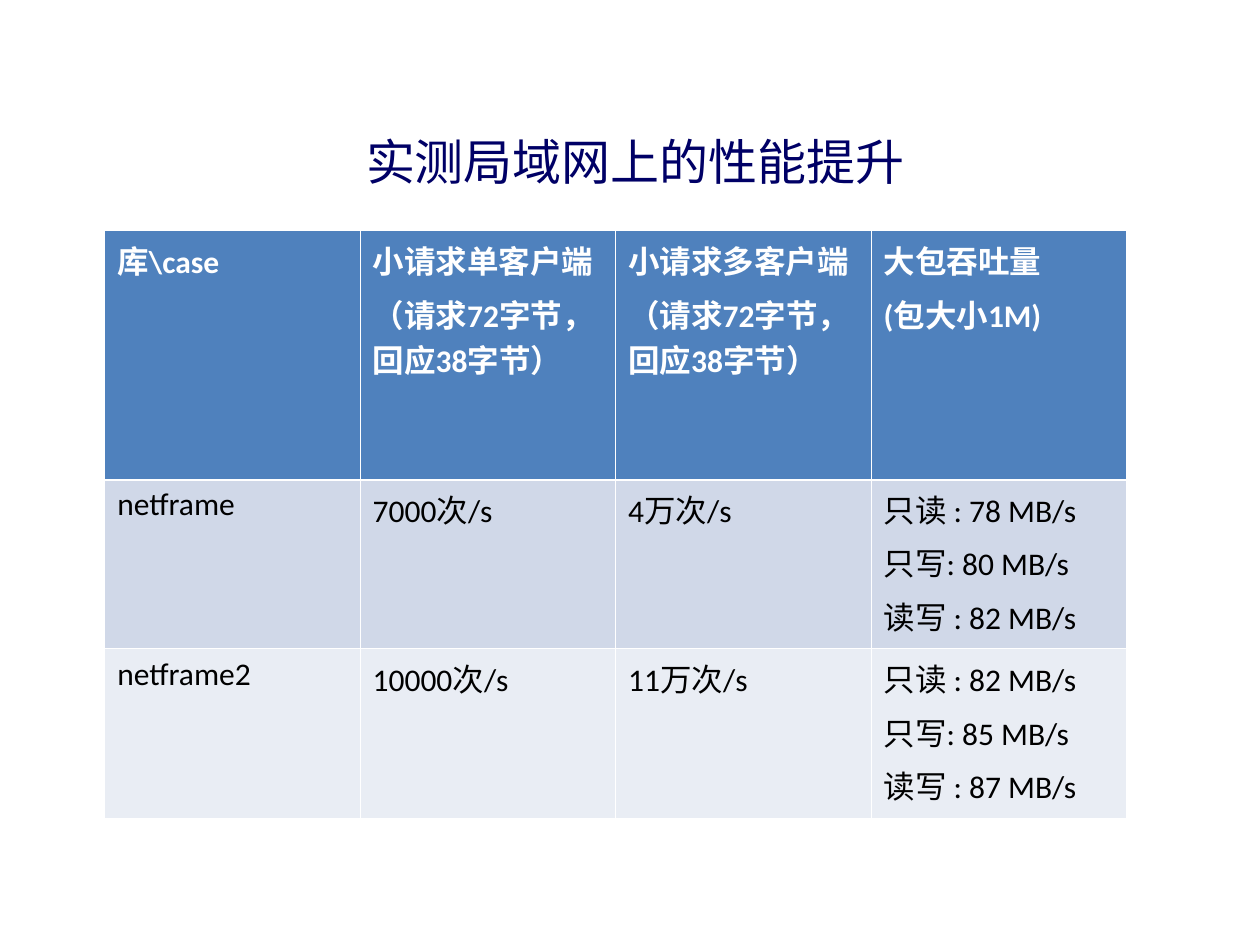
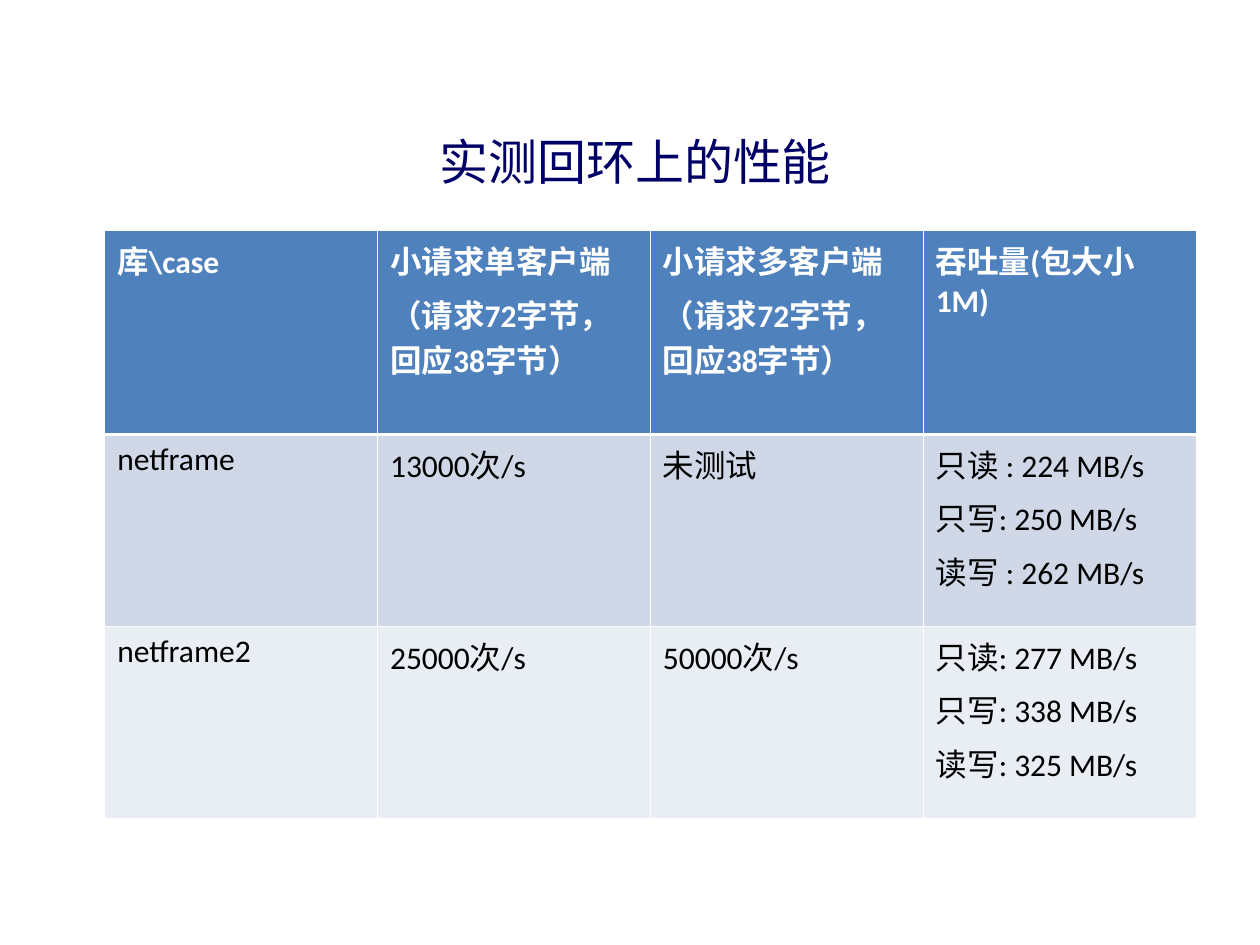
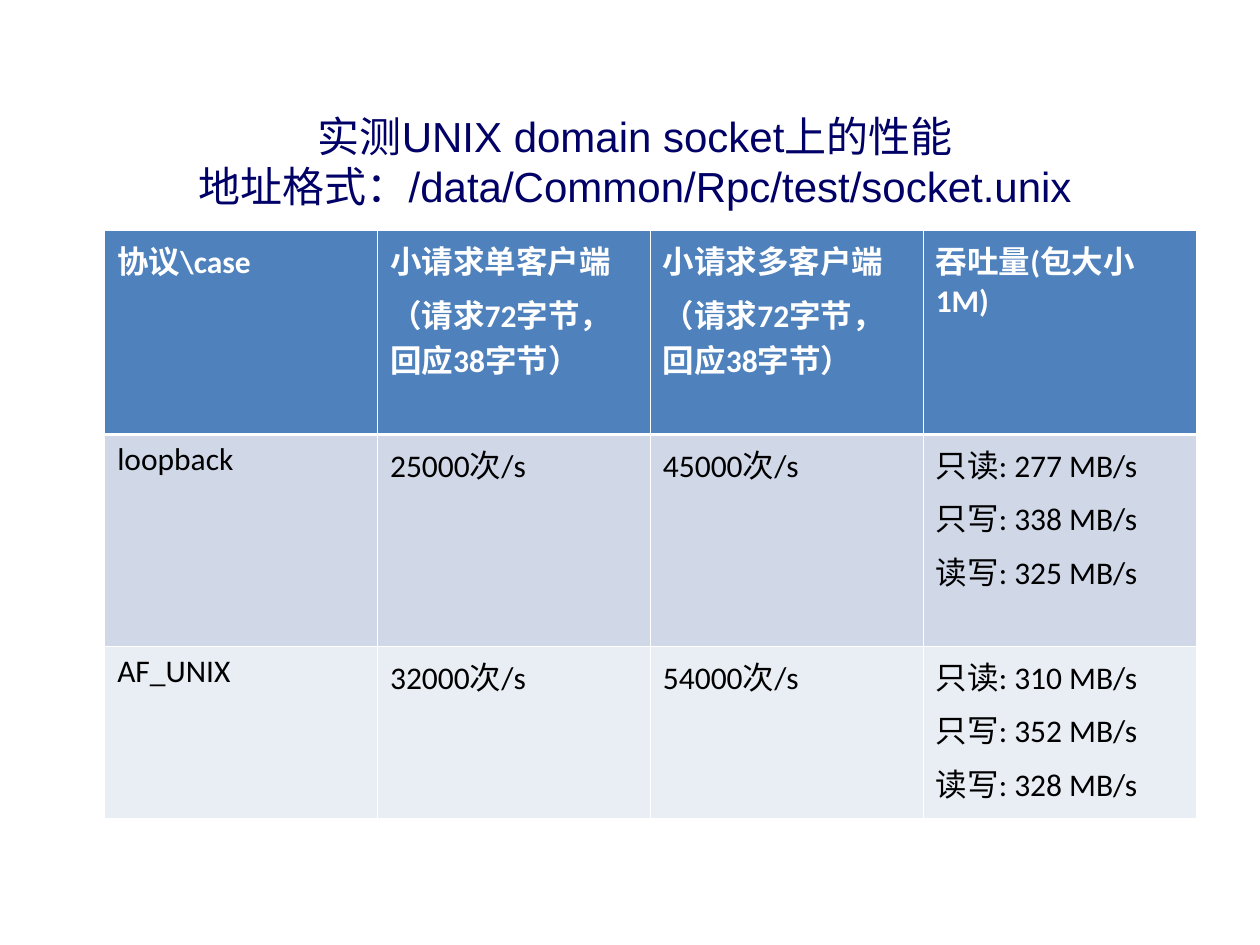
"""Build three slides of network performance tables."""
import pptx
import pptx.dml.color
import pptx.enum.text
import pptx.oxml.ns
import pptx.util
from lxml import etree

Cm = pptx.util.Cm
Pt = pptx.util.Pt
RGBColor = pptx.dml.color.RGBColor

NAVY = RGBColor(0x00, 0x00, 0x66)
WHITE = RGBColor(0xFF, 0xFF, 0xFF)
BLACK = RGBColor(0x00, 0x00, 0x00)
HEADER_BLUE = RGBColor(0x4F, 0x81, 0xBD)
ROW_FILLS = [HEADER_BLUE, RGBColor(0xD0, 0xD8, 0xE8), RGBColor(0xE9, 0xED, 0xF4)]

LEFT = Cm(2.11)
THIN, THICK = Pt(0.45), Pt(1.47)

REQUEST_SIZE = "（请求72字节，回应38字节）"
SINGLE_CLIENT = f"小请求单客户端\n{REQUEST_SIZE}"
MULTI_CLIENT = f"小请求多客户端\n{REQUEST_SIZE}"
THROUGHPUT = "吞吐量(包大小1M)"
LOOPBACK_RATES = "只读: 277 MB/s\n只写: 338 MB/s\n读写: 325 MB/s"

SLIDES = [
    {
        "title": "实测局域网上的性能提升",
        "column_width": Cm(5.15),
        "row_heights": [Cm(5.02), Cm(3.41), Cm(3.41)],
        "rows": [
            [r"库\case", SINGLE_CLIENT, MULTI_CLIENT, "大包吞吐量\n(包大小1M)"],
            ["netframe", "7000次/s", "4万次/s",
             "只读 : 78 MB/s\n只写: 80 MB/s\n读写 : 82 MB/s"],
            ["netframe2", "10000次/s", "11万次/s",
             "只读 : 82 MB/s\n只写: 85 MB/s\n读写 : 87 MB/s"],
        ],
    },
    {
        "title": "实测回环上的性能",
        "column_width": Cm(5.5),
        "row_heights": [Cm(4.11), Cm(3.87), Cm(3.87)],
        "rows": [
            [r"库\case", SINGLE_CLIENT, MULTI_CLIENT, THROUGHPUT],
            ["netframe", "13000次/s", "未测试",
             "只读 : 224 MB/s\n只写: 250 MB/s\n读写 : 262 MB/s"],
            ["netframe2", "25000次/s", "50000次/s", LOOPBACK_RATES],
        ],
    },
    {
        "title": "实测UNIX domain socket上的性能\v地址格式：/data/Common/Rpc/test/socket.unix",
        "title_size": 24,
        "column_width": Cm(5.5),
        "row_heights": [Cm(4.11), Cm(4.27), Cm(3.47)],
        "rows": [
            [r"协议\case", SINGLE_CLIENT, MULTI_CLIENT, THROUGHPUT],
            ["loopback", "25000次/s", "45000次/s", LOOPBACK_RATES],
            ["AF_UNIX", "32000次/s", "54000次/s",
             "只读: 310 MB/s\n只写: 352 MB/s\n读写: 328 MB/s"],
        ],
    },
]


def write_text(frame, text, *, font, size, color, bold=False, align=None, gap=0):
    """Write one paragraph per line, with a gap between paragraphs."""
    for index, line in enumerate(text.split("\n")):
        paragraph = frame.add_paragraph() if index else frame.paragraphs[0]
        paragraph.text = line
        paragraph.alignment = align
        if index:
            paragraph.space_before = Pt(gap)
        for run in paragraph.runs:
            run.font.name = font
            run.font.size = Pt(size)
            run.font.bold = bold
            run.font.color.rgb = color


def add_title(slide, text, size):
    """Add the centred slide title."""
    frame = slide.shapes.add_textbox(LEFT, Cm(2.46), Cm(21.39), Cm(1.57)).text_frame
    frame.word_wrap = True
    frame.vertical_anchor = pptx.enum.text.MSO_ANCHOR.MIDDLE
    write_text(frame, text, font="Arial", size=size, color=NAVY,
               align=pptx.enum.text.PP_ALIGN.CENTER)


def set_borders(cell, top, bottom):
    """Draw white borders, thin at the sides."""
    properties = cell._tc.get_or_add_tcPr()
    for side, width in (("L", THIN), ("R", THIN), ("T", top), ("B", bottom)):
        line = etree.SubElement(properties, pptx.oxml.ns.qn(f"a:ln{side}"), w=str(width))
        fill = etree.SubElement(line, pptx.oxml.ns.qn("a:solidFill"))
        etree.SubElement(fill, pptx.oxml.ns.qn("a:srgbClr"), val=str(WHITE))


def add_results(slide, rows, column_width, row_heights):
    """Add the table of measurements below the title."""
    columns = len(rows[0])
    table = slide.shapes.add_table(len(rows), columns, LEFT, Cm(4.65),
                                   column_width * columns, sum(row_heights)).table
    for column in table.columns:
        column.width = column_width
    for r, (texts, height, fill) in enumerate(zip(rows, row_heights, ROW_FILLS)):
        table.rows[r].height = height
        is_header = r == 0
        for c, text in enumerate(texts):
            cell = table.cell(r, c)
            set_borders(cell, top=THICK if r == 1 else THIN,
                        bottom=THICK if is_header else THIN)
            cell.fill.solid()
            cell.fill.fore_color.rgb = fill
            write_text(cell.text_frame, text, font="Calibri", size=18, gap=4.5,
                       color=WHITE if is_header else BLACK, bold=is_header)


def main():
    """Build and save the presentation."""
    presentation = pptx.Presentation()
    presentation.slide_width = Cm(25.4)
    presentation.slide_height = Cm(19.05)
    blank = presentation.slide_layouts[6]
    for content in SLIDES:
        slide = presentation.slides.add_slide(blank)
        add_title(slide, content["title"], content.get("title_size", 28))
        add_results(slide, content["rows"], content["column_width"],
                    content["row_heights"])
    presentation.save("out.pptx")


if __name__ == "__main__":
    main()
